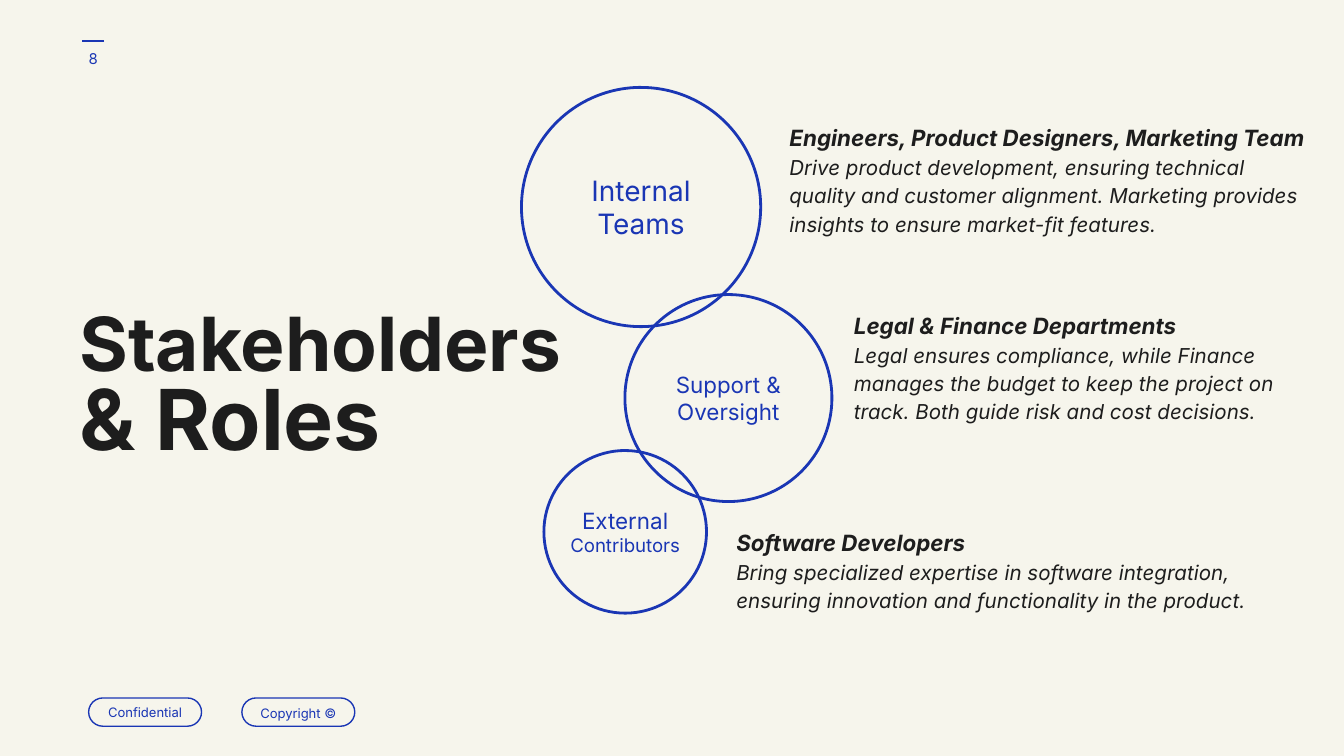
from dataclasses import dataclass

from lxml.etree import SubElement
from pptx import Presentation
from pptx.dml.color import RGBColor as Rgb
from pptx.enum.shapes import MSO_CONNECTOR as Link, MSO_SHAPE as Kind
from pptx.enum.text import MSO_ANCHOR as Anchor, MSO_AUTO_SIZE as Fit, PP_ALIGN as Align
from pptx.oxml.ns import qn
from pptx.util import Inches, Pt

WIDE = Inches(10)
HIGH = WIDE * 9 // 16
COLORS = {"paper": "F6F5EC", "blue": "1A36B4", "ink": "1D1D1D"}
HEAD = {"size": Pt(12), "bold": True, "italic": True}
BODY = {"size": Pt(11), "bold": False, "italic": True}


@dataclass
class Box:
    left: float
    top: float
    width: float
    height: float

    def place(self) -> tuple[int, int, int, int]:
        return across(self.left), down(self.top), across(self.width), down(self.height)


@dataclass
class Ring:
    left: float
    top: float
    size: float
    lines: list
    inset: float = 0.1


@dataclass
class Note:
    box: Box
    head: str
    body: str


@dataclass
class Pill:
    left: float
    text: str
    space: float


RINGS = [
    Ring(38.8, 11.56, 17.8, [[("Internal", 15)], [("Teams", 15)]]),
    Ring(46.5, 38.97, 15.4, [[("Support & Oversight", 12)]]),
    Ring(40.47, 59.6, 12.1, [[("External ", 12), ("Contributors", 10)]], 0),
]
NOTES = [
    Note(Box(57.75, 14.15, 41.1, 21.5), "Engineers, Product Designers, Marketing Team",
         "Drive product development, ensuring technical quality and customer alignment. "
         "Marketing provides insights to ensure market-fit features."),
    Note(Box(62.55, 39, 35.3, 11.73), "Legal & Finance Departments",
         "Legal ensures compliance, while Finance manages the budget to keep the project "
         "on track. Both guide risk and cost decisions."),
    Note(Box(53.8, 67.7, 42.8, 23.47), "Software Developers",
         "Bring specialized expertise in software integration, "
         "ensuring innovation and functionality in the product."),
]
PILLS = [Pill(6.6, "Confidential", 1.0), Pill(18, "Copyright ©", 1.15)]


def across(share: float) -> int:
    return int(WIDE * share / 100)


def down(share: float) -> int:
    return int(HIGH * share / 100)


def paint(name: str) -> Rgb:
    return Rgb.from_string(COLORS[name])


def write(shape, lines: list, color: str, align=Align.LEFT, anchor=Anchor.TOP,
          space: float = 1.0, inset: float = 0.1) -> None:
    frame = shape.text_frame
    pad = Inches(inset)
    form = {"word_wrap": True, "auto_size": Fit.NONE, "vertical_anchor": anchor,
            "margin_left": pad, "margin_right": pad, "margin_top": pad, "margin_bottom": pad}
    for key, value in form.items():
        setattr(frame, key, value)
    for index, parts in enumerate(lines):
        para = frame.paragraphs[0] if index == 0 else frame.add_paragraph()
        look = {"alignment": align, "line_spacing": space,
                "space_before": Pt(0), "space_after": Pt(0)}
        for key, value in look.items():
            setattr(para, key, value)
        for text, style in parts:
            run = para.add_run()
            run.text = text
            for key, value in {"name": "Inter", **style}.items():
                setattr(run.font, key, value)
            run.font.color.rgb = paint(color)


def outline(slide, place: tuple, weight: float):
    shape = slide.shapes.add_shape(Kind.ROUNDED_RECTANGLE, *place)
    shape.adjustments[0] = 0.5
    shape.shadow.inherit = False
    shape.fill.background()
    shape.line.color.rgb = paint("blue")
    shape.line.width = Pt(weight)
    return shape


def draw_ring(slide, ring: Ring) -> None:
    side = across(ring.size)
    shape = outline(slide, (across(ring.left), down(ring.top), side, side), 1.5)
    lines = [[(text, {"size": Pt(size)}) for text, size in line] for line in ring.lines]
    write(shape, lines, "blue", Align.CENTER, Anchor.MIDDLE, inset=ring.inset)


def draw_pill(slide, pill: Pill) -> None:
    shape = outline(slide, Box(pill.left, 92.33, 8.4, 3.74).place(), 0.75)
    write(shape, [[(pill.text, {"size": Pt(7)})]], "blue",
          Align.CENTER, Anchor.MIDDLE, pill.space)


def draw_note(slide, note: Note) -> None:
    shape = slide.shapes.add_textbox(*note.box.place())
    write(shape, [[(note.head, HEAD)], [(note.body, BODY)]], "ink", space=1.15)


def draw_title(slide) -> None:
    title = slide.shapes.title
    place = Box(4.9, 39.82, 43.2, 25.6).place()
    for key, value in zip(("left", "top", "width", "height"), place):
        setattr(title, key, value)
    lines = [[("Stakeholders", {"size": Pt(40), "bold": True})],
             [("& Roles", {"size": Pt(45), "bold": True})]]
    write(title, lines, "ink", space=0.8)


def draw_page(slide) -> None:
    rule = slide.shapes.add_connector(Link.STRAIGHT, across(7.75), down(5.43),
                                      across(6.1), down(5.43))
    rule.line.color.rgb = paint("blue")
    rule.line.width = Pt(0.75)
    SubElement(rule._element.spPr, qn("a:effectLst"))
    shape = slide.shapes.add_textbox(*Box(4.6, 3.91, 4.7, 7.64).place())
    write(shape, [[("8", {"size": Pt(8)})]], "blue", Align.CENTER, Anchor.MIDDLE)


def main() -> None:
    deck = Presentation()
    deck.slide_width, deck.slide_height = WIDE, HIGH
    slide = deck.slides.add_slide(deck.slide_layouts[5])
    slide.background.fill.solid()
    slide.background.fill.fore_color.rgb = paint("paper")
    draw_title(slide)
    draw_page(slide)
    for draw, items in ((draw_pill, PILLS), (draw_ring, RINGS), (draw_note, NOTES)):
        for item in items:
            draw(slide, item)
    deck.save("out.pptx")


if __name__ == "__main__":
    main()
